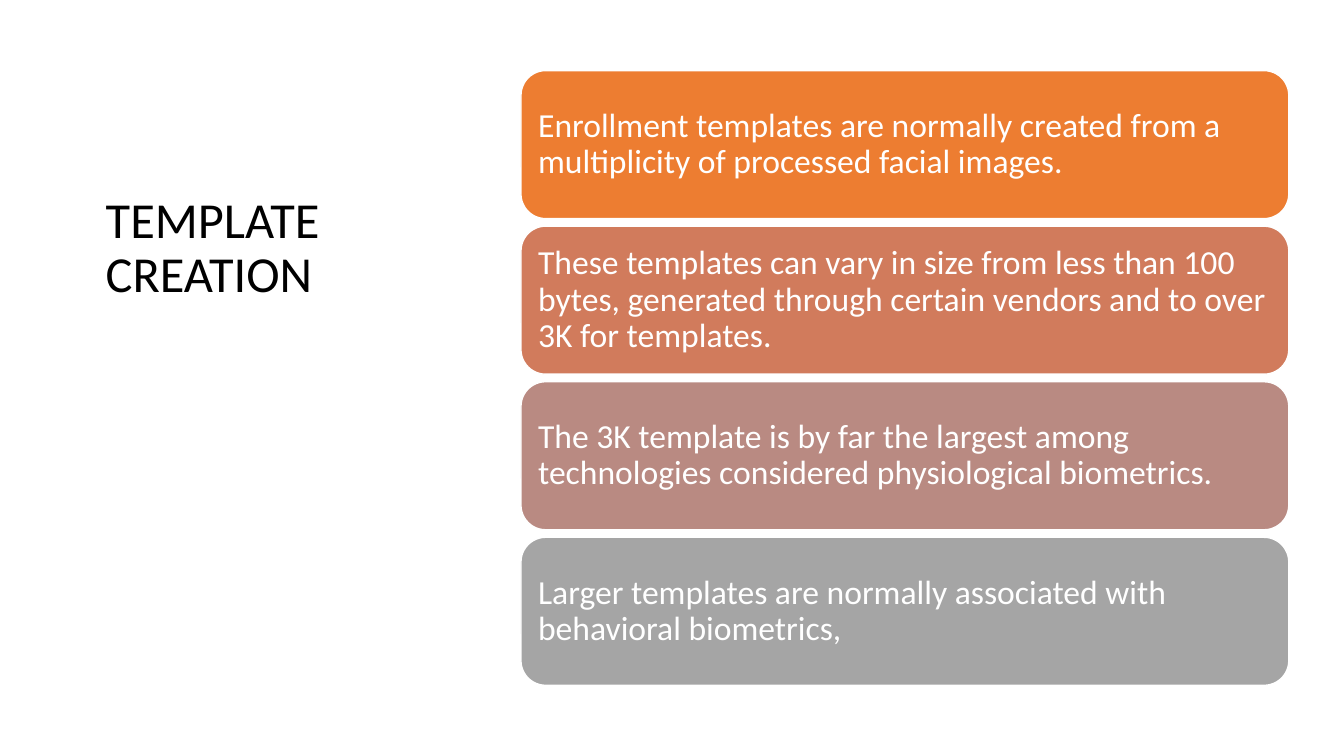
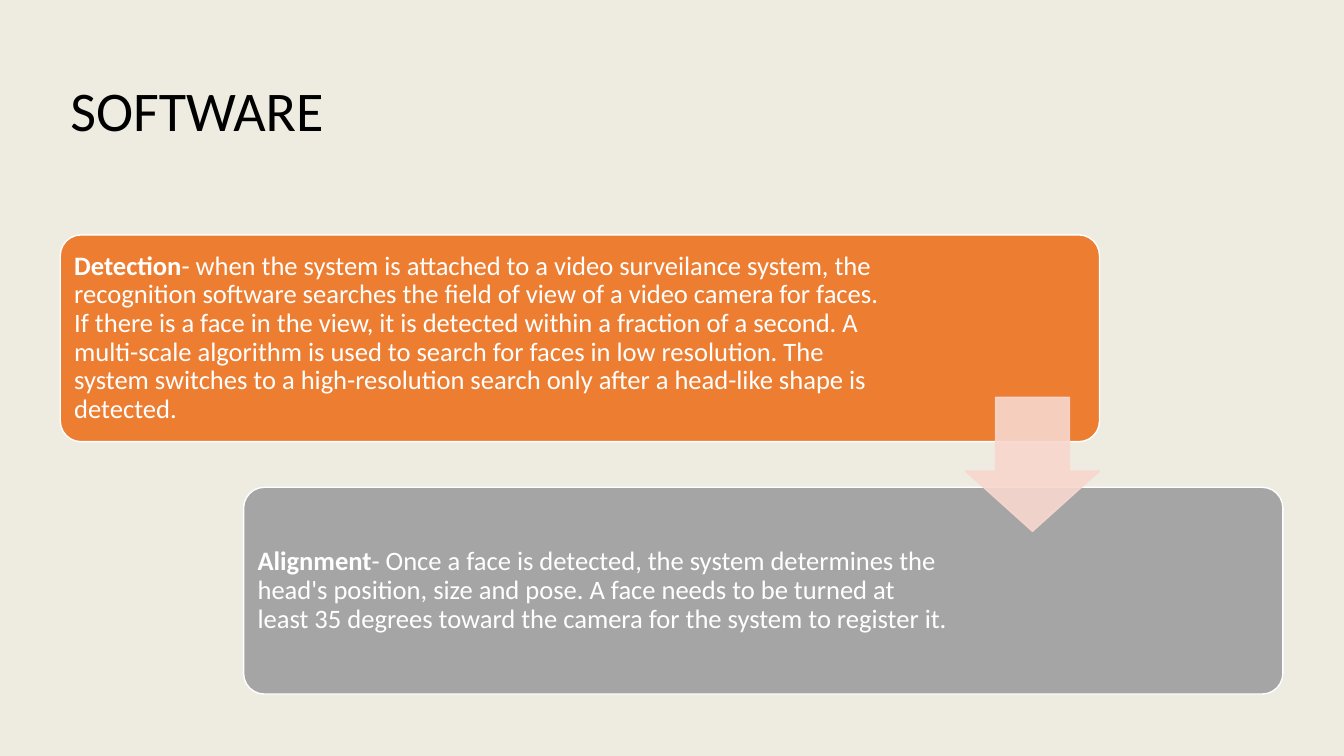
from dataclasses import dataclass

from lxml.etree import SubElement
from pptx import Presentation
from pptx.dml.color import RGBColor
from pptx.enum.shapes import MSO_SHAPE
from pptx.enum.text import MSO_ANCHOR, MSO_AUTO_SIZE, PP_ALIGN
from pptx.oxml.ns import qn
from pptx.util import Cm, Pt


@dataclass(frozen=True)
class Theme:
    """Colours, font and type sizes shared by the slides."""
    font: str = "Calibri"
    ink: str = "000000"
    white: str = "FFFFFF"
    orange: str = "ED7D31"
    terracotta: str = "D17B5C"
    rose: str = "B98A82"
    grey: str = "A5A5A5"
    blush: str = "F8D7CE"
    backdrop: str = "F2F2F2"
    gold: str = "BF9000"
    side_title: int = 36
    top_title: int = 40
    point: int = 24
    step: int = 19
    line_spacing: float = 0.9


THEME = Theme()
SLIDE_WIDTH, SLIDE_HEIGHT = 33.87, 19.05

TEMPLATE_POINTS = [
    (THEME.orange, "Enrollment templates are normally created from a multiplicity "
                   "of processed facial images."),
    (THEME.terracotta, "These templates can vary in size from less than 100 bytes, "
                       "generated through certain vendors and to over 3K for templates."),
    (THEME.rose, "The 3K template is by far the largest among technologies "
                 "considered physiological biometrics."),
    (THEME.grey, "Larger templates are normally associated with behavioral biometrics,"),
]

SOFTWARE_STEPS = [
    (THEME.orange, 5.25, "Detection",
     "- when the system is attached to a video surveilance system, the recognition "
     "software searches the field of view of a video camera for faces. If there is a "
     "face in the view, it is detected within a fraction of a second. A multi-scale "
     "algorithm is used to search for faces in low resolution. The system switches to "
     "a high-resolution search only after a head-like shape is detected."),
    (THEME.grey, 8.2, "Alignment",
     "- Once a face is detected, the system determines the head's position, size and "
     "pose. A face needs to be turned at least 35 degrees toward the camera for the "
     "system to register it."),
]


def paint(fill, color, opacity=100):
    """Fill solidly, with an opacity in percent."""
    fill.solid()
    fill.fore_color.rgb = RGBColor.from_string(color)
    if opacity < 100:
        swatch = fill._xPr.find(qn("a:solidFill"))[0]
        SubElement(swatch, qn("a:alpha")).set("val", str(opacity * 1000))


def add_run(paragraph, text, size, color, bold=False):
    """Add one formatted run."""
    run = paragraph.add_run()
    run.text = text
    run.font.name = THEME.font
    run.font.size = Pt(size)
    run.font.bold = bold
    run.font.color.rgb = RGBColor.from_string(color)


def set_paragraph(frame, anchor):
    """Prepare a frame for left-aligned text and return its paragraph."""
    frame.word_wrap = True
    frame.auto_size = MSO_AUTO_SIZE.NONE
    frame.vertical_anchor = anchor
    paragraph = frame.paragraphs[0]
    paragraph.alignment = PP_ALIGN.LEFT
    paragraph.line_spacing = THEME.line_spacing
    return paragraph


def add_titled_slide(deck, lines, box, size, anchor):
    """Add a title-only slide with its title placed and formatted."""
    slide = deck.slides.add_slide(deck.slide_layouts[5])
    title = slide.shapes.title
    title.left, title.top, title.width, title.height = map(Cm, box)
    paragraph = set_paragraph(title.text_frame, anchor)
    for index, line in enumerate(lines):
        if index:
            paragraph.add_line_break()
        add_run(paragraph, line, size, THEME.ink)
    return slide


def add_figure(slide, preset, box, color, opacity=100, outline=None, adjustments=()):
    """Add a flat preset shape."""
    figure = slide.shapes.add_shape(preset, *map(Cm, box))
    figure.shadow.inherit = False
    paint(figure.fill, color, opacity)
    if outline:
        paint(figure.line.fill, outline, opacity)
        figure.line.width = Pt(1)
    else:
        figure.line.fill.background()
    for index, value in enumerate(adjustments):
        figure.adjustments[index] = value
    return figure


def add_card(slide, box, color, runs, size, margin, right_margin, adjustments=()):
    """Add a rounded card holding (text, bold) runs."""
    card = add_figure(slide, MSO_SHAPE.ROUNDED_RECTANGLE, box, color,
                      outline=THEME.white, adjustments=adjustments)
    frame = card.text_frame
    frame.margin_left = frame.margin_top = frame.margin_bottom = Cm(margin)
    frame.margin_right = Cm(right_margin)
    paragraph = set_paragraph(frame, MSO_ANCHOR.MIDDLE)
    for text, bold in runs:
        add_run(paragraph, text, size, THEME.white, bold)


def add_backdrop(slide):
    """Lay a tinted backdrop behind everything on the slide."""
    layers = [(THEME.backdrop, 100), (THEME.gold, 7)]
    for depth, (color, opacity) in enumerate(layers, start=2):
        layer = add_figure(slide, MSO_SHAPE.RECTANGLE,
                           (0, 0, SLIDE_WIDTH, SLIDE_HEIGHT), color, opacity)
        slide.shapes._spTree.insert(depth, layer._element)


def build_template_creation(deck):
    """Build the slide with a stack of four points."""
    slide = add_titled_slide(deck, ["TEMPLATE", "CREATION"], (2.41, 4.78, 8.61, 9.78),
                             THEME.side_title, MSO_ANCHOR.TOP)
    height, gap = 3.73, 0.19
    for row, (color, text) in enumerate(TEMPLATE_POINTS):
        box = (13.13, 1.78 + row * (height + gap), 19.35, height)
        add_card(slide, box, color, [(text, False)], THEME.point, 0.25, 0.25)


def build_software(deck):
    """Build the slide with two staggered steps and an arrow."""
    slide = add_titled_slide(deck, ["SOFTWARE"], (1.52, 1.02, 30.81, 3.68),
                             THEME.top_title, MSO_ANCHOR.MIDDLE)
    add_backdrop(slide)
    for index, (color, right_margin, name, detail) in enumerate(SOFTWARE_STEPS):
        box = (1.52 + index * 4.62, 5.92 + index * 6.36, 26.19, 5.21)
        add_card(slide, box, color, [(name, True), (detail, False)], THEME.step,
                 0.2, right_margin, adjustments=(0.1,))
    add_figure(slide, MSO_SHAPE.DOWN_ARROW, (24.33, 10.01, 3.38, 3.38), THEME.blush,
               opacity=90, outline=THEME.blush, adjustments=(0.55, 0.45))


def main():
    """Build and save the deck."""
    deck = Presentation()
    deck.slide_width, deck.slide_height = Cm(SLIDE_WIDTH), Cm(SLIDE_HEIGHT)
    build_template_creation(deck)
    build_software(deck)
    deck.save("out.pptx")


if __name__ == "__main__":
    main()
